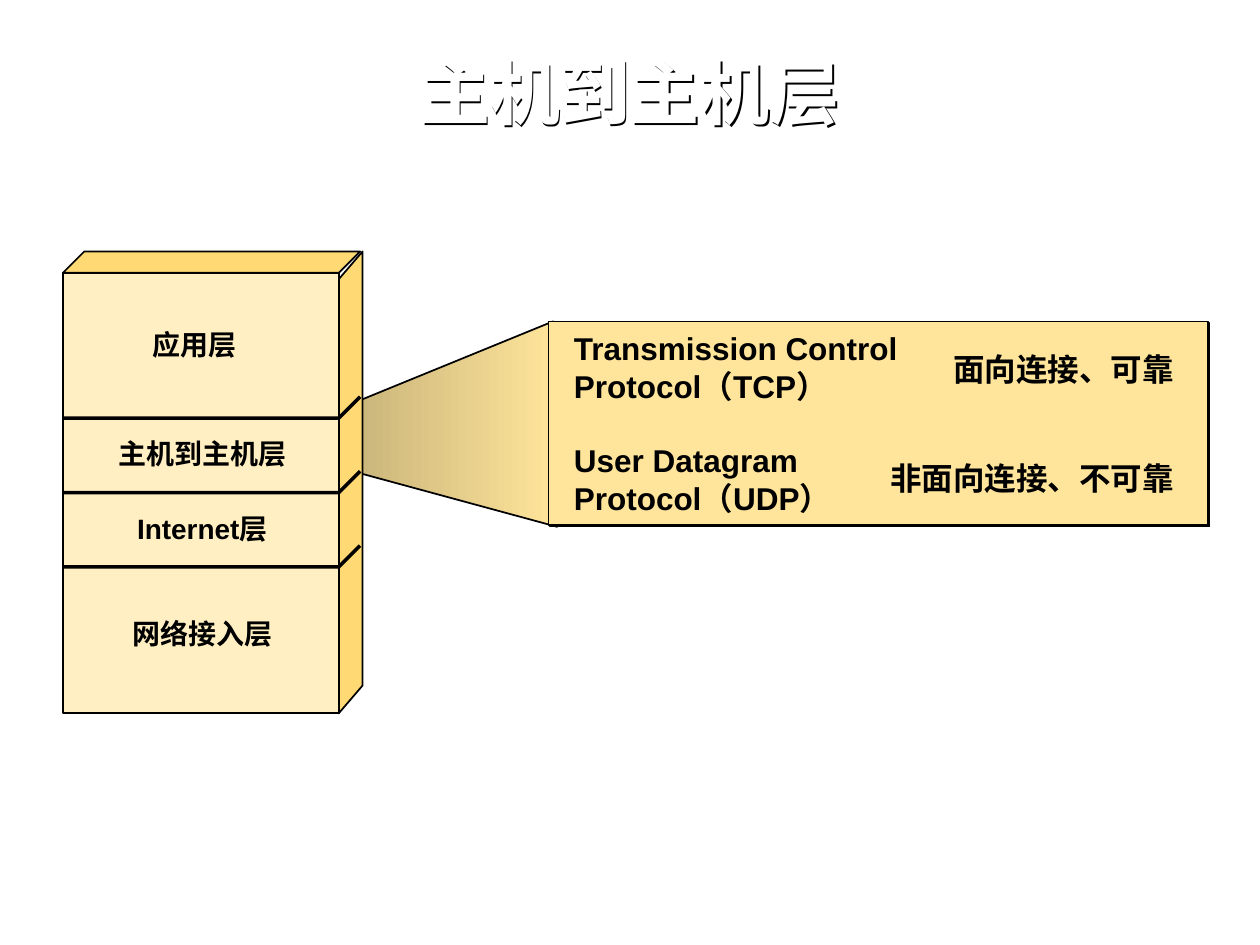
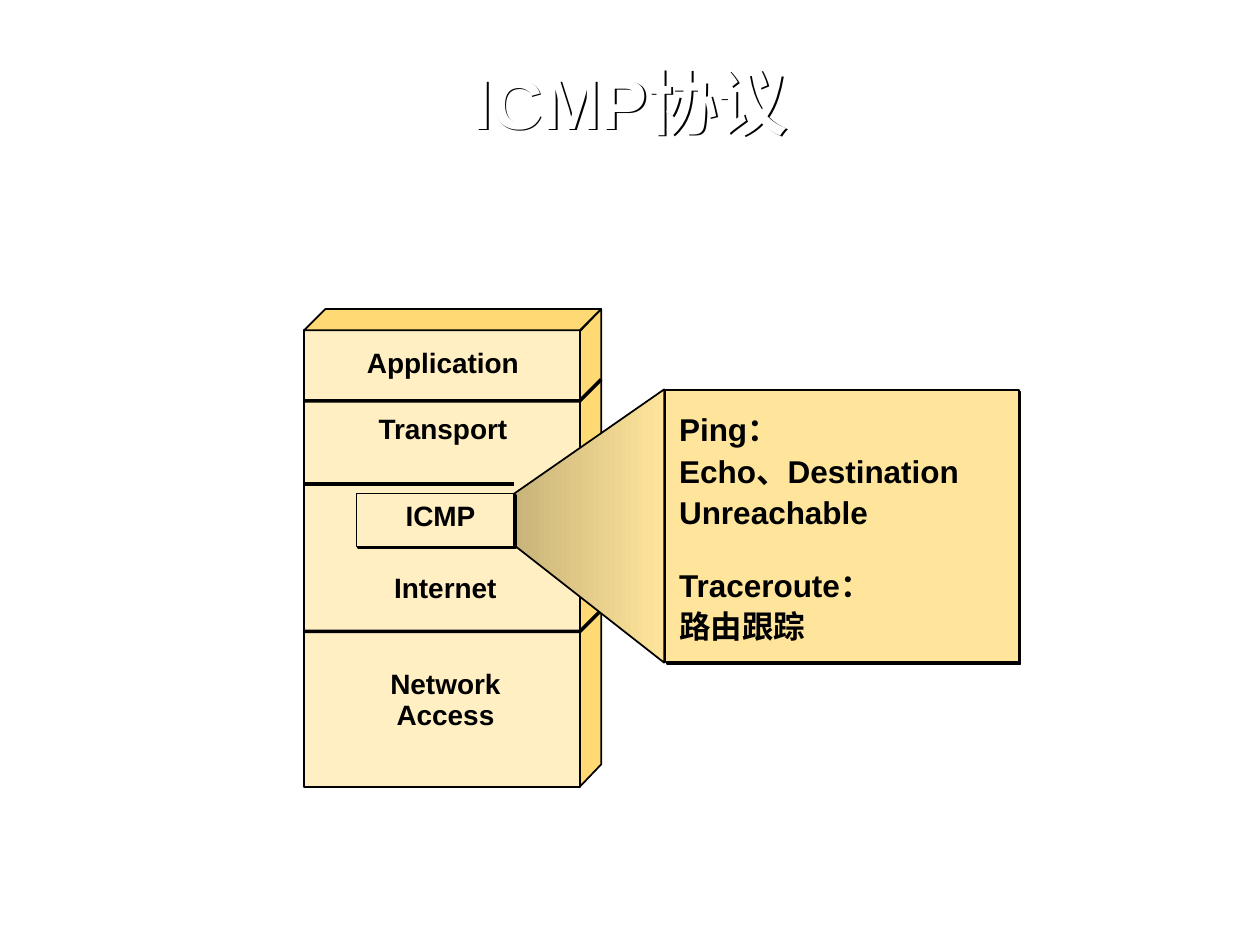
from dataclasses import dataclass

from lxml.etree import SubElement
from pptx import Presentation
from pptx.dml.color import RGBColor
from pptx.enum.shapes import MSO_CONNECTOR, MSO_SHAPE
from pptx.enum.text import MSO_ANCHOR as Anchor, PP_ALIGN as Align
from pptx.oxml.ns import qn
from pptx.util import Cm, Pt


@dataclass(frozen=True)
class Theme:
    font: str = "Arial"
    ink: str = "000000"
    title_ink: str = "FFFFFF"
    front: str = "FFEFC2"
    side: str = "FFDA74"
    panel: str = "FFE59B"
    funnel_dark: str = "C1AD75"
    title_size: float = 40
    body_size: float = 18
    label_size: float = 16
    outline: float = 1
    divider: float = 2
    marker: float = 2.25


THEME = Theme()


def color(code):
    return RGBColor.from_string(code)


def add_drop_shadow(shape):
    shape.shadow.inherit = False
    effects = shape._element.spPr.find(qn("a:effectLst"))
    shadow = SubElement(effects, qn("a:outerShdw"), blurRad="0",
                        dist=str(Pt(1.4)), dir="2700000", algn="ctr", rotWithShape="0")
    SubElement(shadow, qn("a:srgbClr"), val=THEME.ink)


def set_line(shape, width):
    shape.line.color.rgb = color(THEME.ink)
    shape.line.width = Pt(width)


def paint(shape, fill=None, width=THEME.outline):
    shape.shadow.inherit = False
    set_line(shape, width)
    if fill:
        shape.fill.solid()
        shape.fill.fore_color.rgb = color(fill)
    else:
        shape.fill.background()


def set_frame(shape, inset_x, inset_y):
    frame = shape.text_frame
    frame.word_wrap = True
    frame.vertical_anchor = Anchor.MIDDLE
    frame.margin_left = frame.margin_right = Cm(inset_x)
    frame.margin_top = frame.margin_bottom = Cm(inset_y)
    return frame


def style(para, size, align=Align.LEFT, ink=THEME.ink, spacing=None):
    para.alignment = align
    para.line_spacing = spacing
    for span in para.runs:
        span.font.name = THEME.font
        span.font.size = Pt(size)
        span.font.bold = True
        span.font.color.rgb = color(ink)


def add_text(page, text, bounds, size, align=Align.LEFT, **look):
    box = page.shapes.add_textbox(*map(Cm, bounds))
    frame = set_frame(box, 0.25, 0.12)
    frame.text = text
    style(frame.paragraphs[0], size, align, **look)
    return box


def add_title(page, text, top):
    title = add_text(page, text, (0, top, 25.4, 3.18), THEME.title_size,
                     Align.CENTER, ink=THEME.title_ink, spacing=0.9)
    add_drop_shadow(title)


def add_label(page, text, center_x, center_y, height=0.9):
    width = 4.2
    bounds = (center_x - width / 2, center_y - height / 2, width, height)
    add_text(page, text, bounds, THEME.label_size, Align.CENTER, spacing=0.95)


def add_rectangle(page, bounds, fill, shadowed=False):
    box = page.shapes.add_shape(MSO_SHAPE.RECTANGLE, *map(Cm, bounds))
    paint(box, fill)
    if shadowed:
        add_drop_shadow(box)
    return box


def add_panel(page, bounds, inset, groups, spacing, gap):
    panel = add_rectangle(page, bounds, THEME.panel, shadowed=True)
    frame = set_frame(panel, inset, 0.15)
    frame.text = "\n".join(line for group in groups for line in group)
    for para in frame.paragraphs:
        style(para, THEME.body_size, spacing=Pt(spacing))
    frame.paragraphs[len(groups[0])].space_before = Pt(gap)


def add_outline(page, points, fill=None, closed=True, width=THEME.outline):
    start, *rest = [(Cm(x), Cm(y)) for x, y in points]
    builder = page.shapes.build_freeform(*start)
    builder.add_line_segments(rest, close=closed)
    outline = builder.convert_to_shape()
    paint(outline, fill, width)
    return outline


def add_funnel(page, points):
    funnel = add_outline(page, points)
    funnel.fill.gradient()
    funnel.fill.gradient_angle = 0
    for stop, code in zip(funnel.fill.gradient_stops, (THEME.funnel_dark, THEME.panel)):
        stop.color.rgb = color(code)


def add_layer_stack(page, left, top, bottom, side_depth, side_rise, dividers):
    width, depth = 5.56, 0.43
    right = left + width
    lid_top = top - depth
    back = right + side_depth
    front_top = lid_top + side_rise
    add_outline(page, [(back, lid_top), (right, front_top), (right, bottom),
                       (back, bottom - side_rise)], THEME.side)
    add_rectangle(page, (left, top, width, bottom - top), THEME.front)
    add_outline(page, [(left, top), (left + depth, lid_top),
                       (right + depth, lid_top), (right, top)], THEME.side)
    for y in dividers:
        add_outline(page, [(left, y), (right, y), (right + depth, y - depth)],
                    closed=False, width=THEME.divider)


def add_marker(page, left, right, y):
    marker = page.shapes.add_connector(MSO_CONNECTOR.STRAIGHT,
                                       Cm(left), Cm(y), Cm(right), Cm(y))
    set_line(marker, THEME.marker)
    SubElement(marker._element.spPr, qn("a:effectLst"))


def build_host_to_host(page):
    add_title(page, "主机到主机层", 0.36)
    add_funnel(page, [(6.5, 8.38), (11.15, 6.48), (11.23, 10.62), (7.29, 9.55)])
    add_panel(page, (11.06, 6.48, 13.29, 4.1), 0.51,
              [["Transmission Control", "Protocol（TCP）"],
               ["User Datagram", "Protocol（UDP）"]], 21.4, 21.4)
    add_layer_stack(page, 1.27, 5.5, 14.38, 0.48, 0.56,
                    [8.43 + 1.5 * step for step in range(3)])
    for text, x, y in [("应用层", 3.92, 6.97), ("主机到主机层", 4.08, 9.18),
                       ("Internet层", 4.08, 10.68), ("网络接入层", 4.08, 12.79)]:
        add_label(page, text, x, y)
    facts_right = 24.1
    for text, top, width in [("面向连接、可靠", 6.93, 5.13),
                             ("非面向连接、不可靠", 9.12, 6.4)]:
        add_text(page, text, (facts_right - width, top, width, 1.02), THEME.body_size)


def build_icmp(page):
    add_title(page, "ICMP协议", 0.56)
    add_layer_stack(page, 6.13, 6.66, 15.86, 0.43, 0.45, [8.08, 12.73])
    for text, x, y in [("Application", 8.93, 7.33), ("Transport", 8.93, 8.67),
                       ("Internet", 8.98, 11.87)]:
        add_label(page, text, x, y)
    add_label(page, "Network Access", 8.98, 14.12, height=1.55)
    add_panel(page, (13.41, 7.86, 7.13, 5.49), 0.28,
              [["Ping：", "Echo、Destination\vUnreachable"],
               ["Traceroute：", "路由跟踪"]], 23.6, 18)
    add_marker(page, 6.15, 10.36, 9.75)
    add_funnel(page, [(10.11, 10.13), (13.39, 7.85), (13.39, 13.36), (9.98, 10.69)])
    add_rectangle(page, (7.19, 9.95, 3.18, 1.07), THEME.front, shadowed=True)
    add_label(page, "ICMP", 8.88, 10.42)


def main():
    deck = Presentation()
    deck.slide_width, deck.slide_height = Cm(25.4), Cm(19.05)
    blank = deck.slide_layouts[6]
    for build in (build_host_to_host, build_icmp):
        build(deck.slides.add_slide(blank))
    deck.save("out.pptx")


if __name__ == "__main__":
    main()
